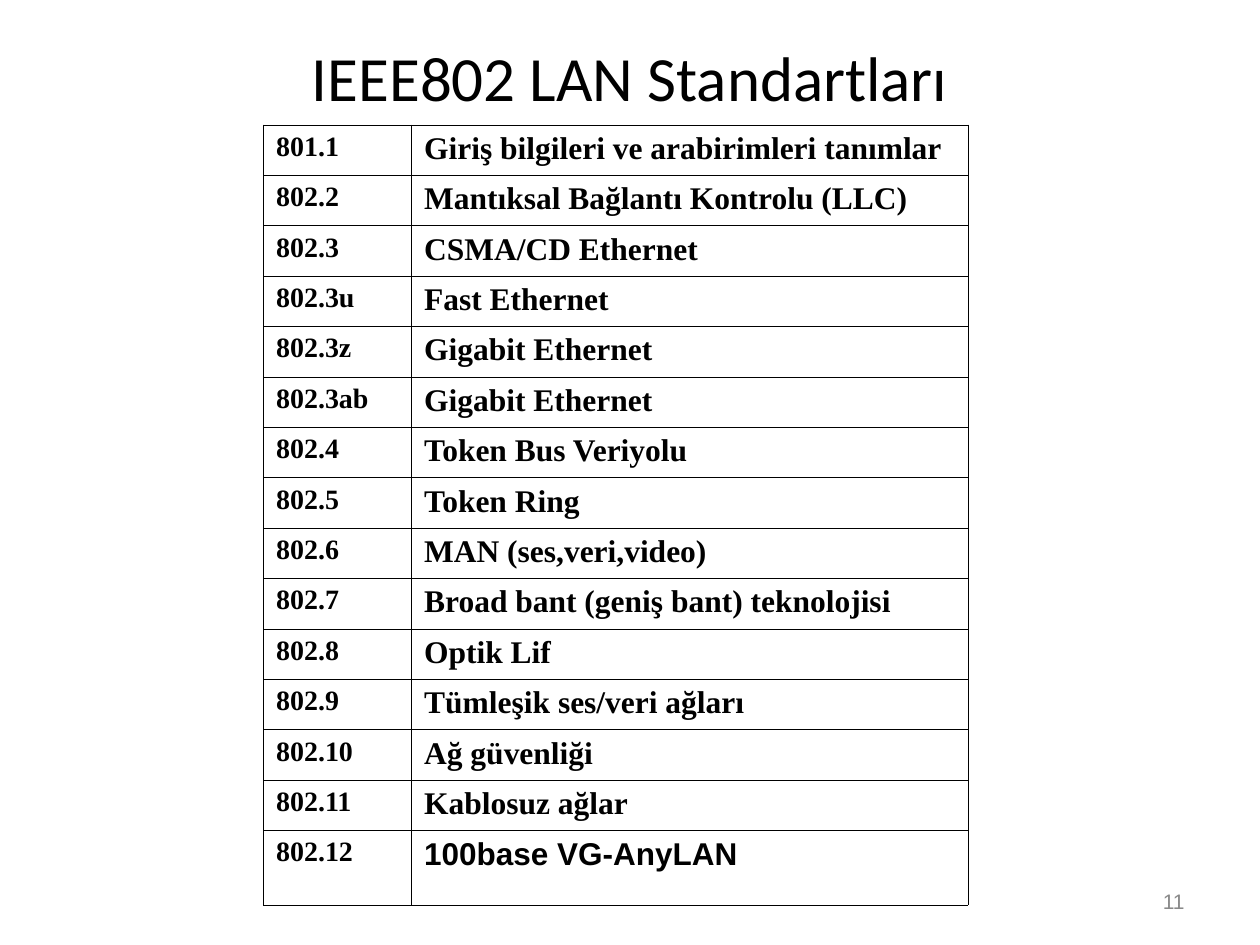
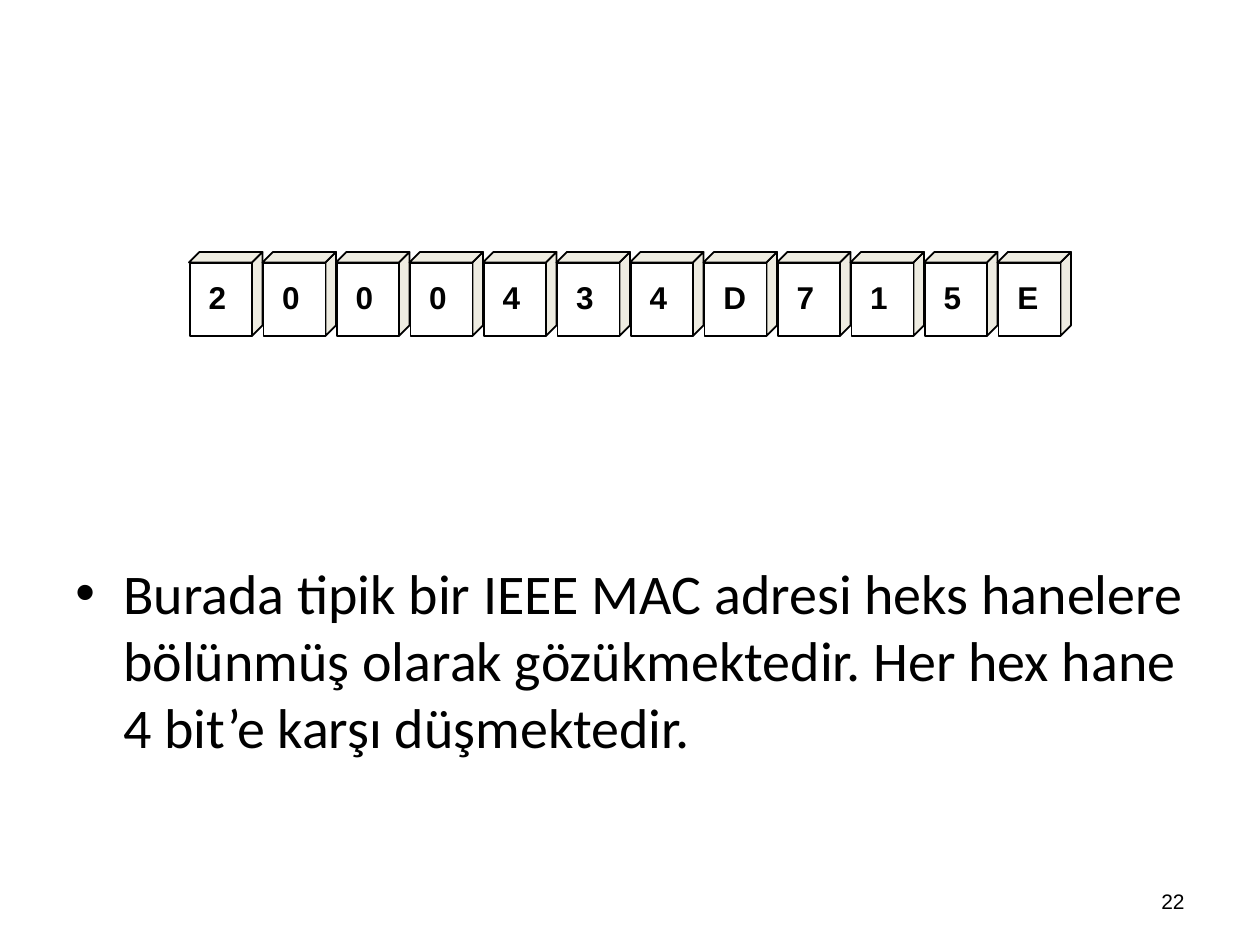
"""Builds two slides on LAN standards and MAC addresses."""
from dataclasses import dataclass
from typing import Any, Iterable

from lxml import etree
from pptx import Presentation, util as u
from pptx.dml.color import RGBColor
from pptx.enum import shapes, text
from pptx.oxml.ns import qn

UNIT = u.Inches(1) / 12
COLUMNS, ROWS = 120, 90
BLACK, WHITE, CREAM, GREY = "000000", "FFFFFF", "EEECE1", "898989"


@dataclass(frozen=True)
class Area:
    """A place on the slide, in columns and rows of the grid."""
    left: float
    top: float
    width: float
    height: float


@dataclass(frozen=True)
class Style:
    """How a run of text looks."""
    name: str
    size: float
    bold: bool = False
    color: str = BLACK


TITLE_AREA = Area(6, 3.6, 108, 7.3)
TABLE_AREA = Area(25.1, 11.9, 67.1, 74.3)
BODY_AREA = Area(6, 52.6, 108, 27.8)
NUMBER_AREA = Area(86, 83.4, 28, 4.8)

TITLE = Style("Calibri", 36)
BODY = Style("Calibri", 32)
CODE = Style("Times New Roman", 16, True)
MEANING = Style("Times New Roman", 18, True)
DIGIT = Style("Arial", 18, True)

TABLE_COLUMNS = (14.1, 53)
ROW_HEIGHT, LAST_ROW_HEIGHT = 4.8, 7.1
STANDARDS = (
    ("801.1", "Giriş bilgileri ve arabirimleri tanımlar"),
    ("802.2", "Mantıksal Bağlantı Kontrolu (LLC)"),
    ("802.3", "CSMA/CD Ethernet"),
    ("802.3u", "Fast Ethernet"),
    ("802.3z", "Gigabit Ethernet"),
    ("802.3ab", "Gigabit Ethernet"),
    ("802.4", "Token Bus Veriyolu"),
    ("802.5", "Token Ring"),
    ("802.6", "MAN (ses,veri,video)"),
    ("802.7", "Broad bant (geniş bant) teknolojisi"),
    ("802.8", "Optik Lif"),
    ("802.9", "Tümleşik ses/veri ağları"),
    ("802.10", "Ağ güvenliği"),
    ("802.11", "Kablosuz ağlar"),
    ("802.12", "100base VG-AnyLAN"),
)

MAC_ADDRESS = "2000434D715E"
MAC_LEFT, MAC_TOP = 18, 24
FRONT_WIDTH, FRONT_HEIGHT, DEPTH = 6, 7, 1
PITCH = FRONT_WIDTH + DEPTH


def grid(value: float) -> u.Emu:
    """Turn grid units into a length."""
    return u.Emu(round(value * UNIT))


def spot(area: Area) -> tuple:
    """Give the four lengths of an area."""
    return tuple(grid(v) for v in (area.left, area.top, area.width, area.height))


def color(value: str) -> RGBColor:
    """Read a hex colour."""
    return RGBColor.from_string(value)


def apply(target: Any, values: dict) -> None:
    """Set each named attribute of the target."""
    for name, value in values.items():
        setattr(target, name, value)


def write(frame: Any, words: str, style: Style, align: Any = text.PP_ALIGN.LEFT) -> Any:
    """Put one styled paragraph in a text frame."""
    para = frame.paragraphs[0]
    para.alignment = align
    span = para.add_run()
    span.text = words
    apply(span.font, {"name": style.name, "size": u.Pt(style.size), "bold": style.bold})
    span.font.color.rgb = color(style.color)
    return para


def add_text(page: Any, area: Area, words: str, style: Style,
             align: Any = text.PP_ALIGN.LEFT, **frame_values: Any) -> Any:
    """Add a text box and return its paragraph."""
    frame = page.shapes.add_textbox(*spot(area)).text_frame
    apply(frame, {"word_wrap": True, **frame_values})
    return write(frame, words, style, align)


def add_number(page: Any, number: str, tint: str) -> None:
    """Add the page number at the lower right."""
    add_text(page, NUMBER_AREA, number, Style("Arial", 12, color=tint),
             text.PP_ALIGN.RIGHT, vertical_anchor=text.MSO_ANCHOR.MIDDLE)


def add_title(page: Any, words: str) -> None:
    """Move and fill the title placeholder."""
    title = page.shapes.title
    apply(title, dict(zip(("left", "top", "width", "height"), spot(TITLE_AREA))))
    apply(title.text_frame, {"auto_size": text.MSO_AUTO_SIZE.NONE,
                             "vertical_anchor": text.MSO_ANCHOR.MIDDLE})
    write(title.text_frame, words, TITLE, text.PP_ALIGN.CENTER)


def add_borders(cell: Any) -> None:
    """Draw a thin black line on each side of a cell."""
    properties = cell._tc.get_or_add_tcPr()
    for side in ("lnL", "lnR", "lnT", "lnB"):
        line = etree.SubElement(properties, qn(f"a:{side}"), w=str(u.Pt(0.45)))
        fill = etree.SubElement(line, qn("a:solidFill"))
        etree.SubElement(fill, qn("a:srgbClr"), val=BLACK)


def add_standards(page: Any) -> None:
    """Add the table of standards."""
    table = page.shapes.add_table(len(STANDARDS), len(TABLE_COLUMNS), *spot(TABLE_AREA)).table
    apply(table, {"first_row": False, "horz_banding": False})
    for column, width in zip(table.columns, TABLE_COLUMNS):
        column.width = grid(width)
    last = len(STANDARDS) - 1
    for index, entry in enumerate(STANDARDS):
        table.rows[index].height = grid(LAST_ROW_HEIGHT if index == last else ROW_HEIGHT)
        styles = (CODE, DIGIT if index == last else MEANING)
        for cell, words, style in zip(table.rows[index].cells, entry, styles):
            add_borders(cell)
            cell.fill.background()
            write(cell.text_frame, words, style)


def paint(shape: Any, fill: str) -> None:
    """Give a shape a flat fill and a black outline."""
    shape.shadow.inherit = False
    shape.fill.solid()
    shape.fill.fore_color.rgb = color(fill)
    shape.line.color.rgb = color(BLACK)
    shape.line.width = u.Pt(1)


def add_face(page: Any, points: Iterable[tuple]) -> None:
    """Add a shaded side of a block from its corners."""
    start, *others = [(grid(x), grid(y)) for x, y in points]
    builder = page.shapes.build_freeform(*start, scale=1.0)
    builder.add_line_segments(others, close=True)
    paint(builder.convert_to_shape(), CREAM)


def add_block(page: Any, left: float) -> None:
    """Add one block: right side, front and top."""
    right, top = left + FRONT_WIDTH, MAC_TOP
    front, bottom = top + DEPTH, top + DEPTH + FRONT_HEIGHT
    add_face(page, ((right, bottom), (right, front), (right + DEPTH, top),
                    (right + DEPTH, bottom - DEPTH)))
    area = Area(left + 0.1, front + 0.1, FRONT_WIDTH - 0.1, FRONT_HEIGHT - 0.1)
    paint(page.shapes.add_shape(shapes.MSO_SHAPE.RECTANGLE, *spot(area)), WHITE)
    add_face(page, ((left, front), (left + DEPTH, top), (right + DEPTH, top), (right, front)))


def add_address(page: Any) -> None:
    """Add the row of blocks and a digit on each."""
    lefts = [MAC_LEFT + PITCH * index for index in range(len(MAC_ADDRESS))]
    for left in lefts:
        add_block(page, left)
    for left, digit in zip(lefts, MAC_ADDRESS):
        width = 4.1 if digit.isdigit() else 4.5
        add_text(page, Area(left + 0.7, MAC_TOP + 1.9, width, 4.8), digit, DIGIT,
                 word_wrap=False, auto_size=text.MSO_AUTO_SIZE.SHAPE_TO_FIT_TEXT)


def add_bullet(page: Any, words: str) -> None:
    """Add the bulleted body text."""
    para = add_text(page, BODY_AREA, words, BODY)
    properties = para._p.get_or_add_pPr()
    indent = u.Inches(0.38)
    properties.set("marL", str(indent))
    properties.set("indent", str(-indent))
    etree.SubElement(properties, qn("a:buFont"), typeface="Arial")
    etree.SubElement(properties, qn("a:buChar"), char="•")


def main() -> None:
    """Build and save the deck."""
    deck = Presentation()
    apply(deck, {"slide_width": grid(COLUMNS), "slide_height": grid(ROWS)})
    title_only, blank = deck.slide_layouts[5], deck.slide_layouts[6]

    page = deck.slides.add_slide(title_only)
    add_title(page, "IEEE802 LAN Standartları")
    add_standards(page)
    add_number(page, "11", GREY)

    page = deck.slides.add_slide(blank)
    add_bullet(page, "Burada tipik bir IEEE MAC adresi heks hanelere bölünmüş olarak "
                     "gözükmektedir. Her hex hane 4 bit’e karşı düşmektedir.")
    add_number(page, "22", BLACK)
    add_address(page)

    deck.save("out.pptx")


if __name__ == "__main__":
    main()
